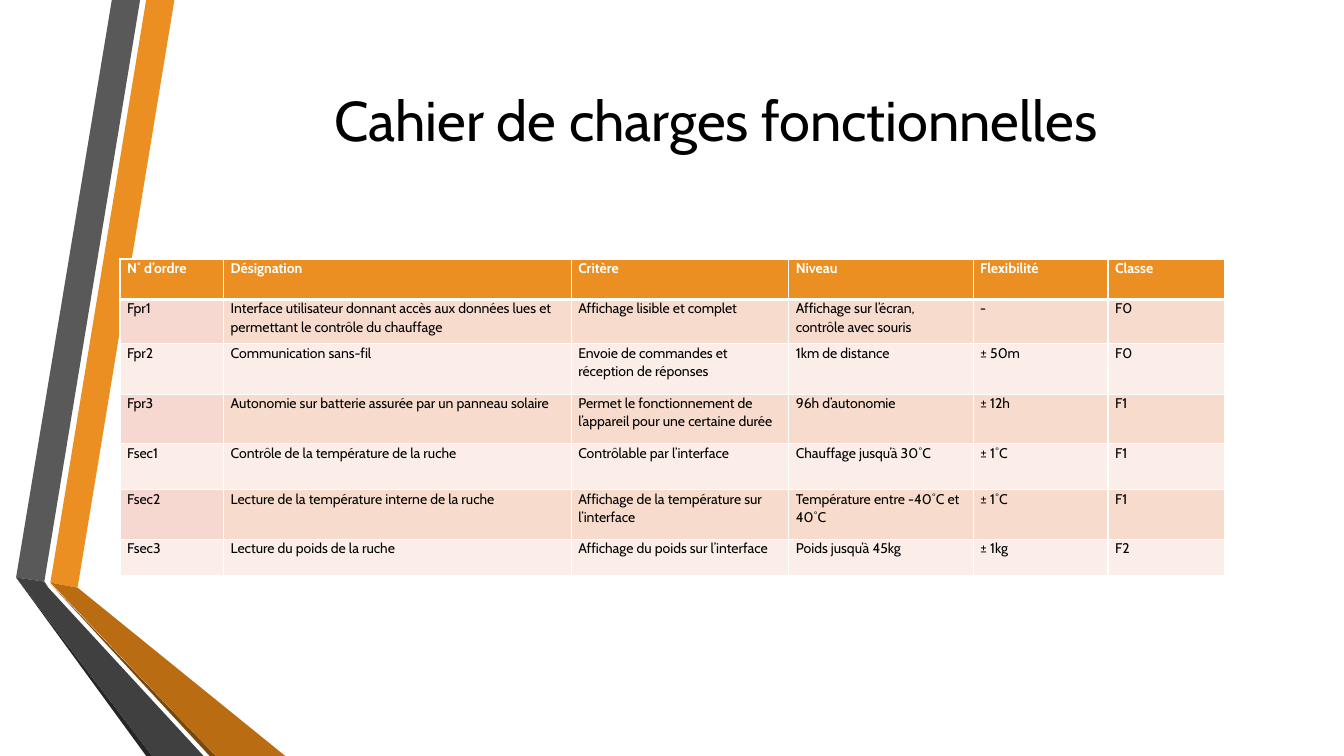
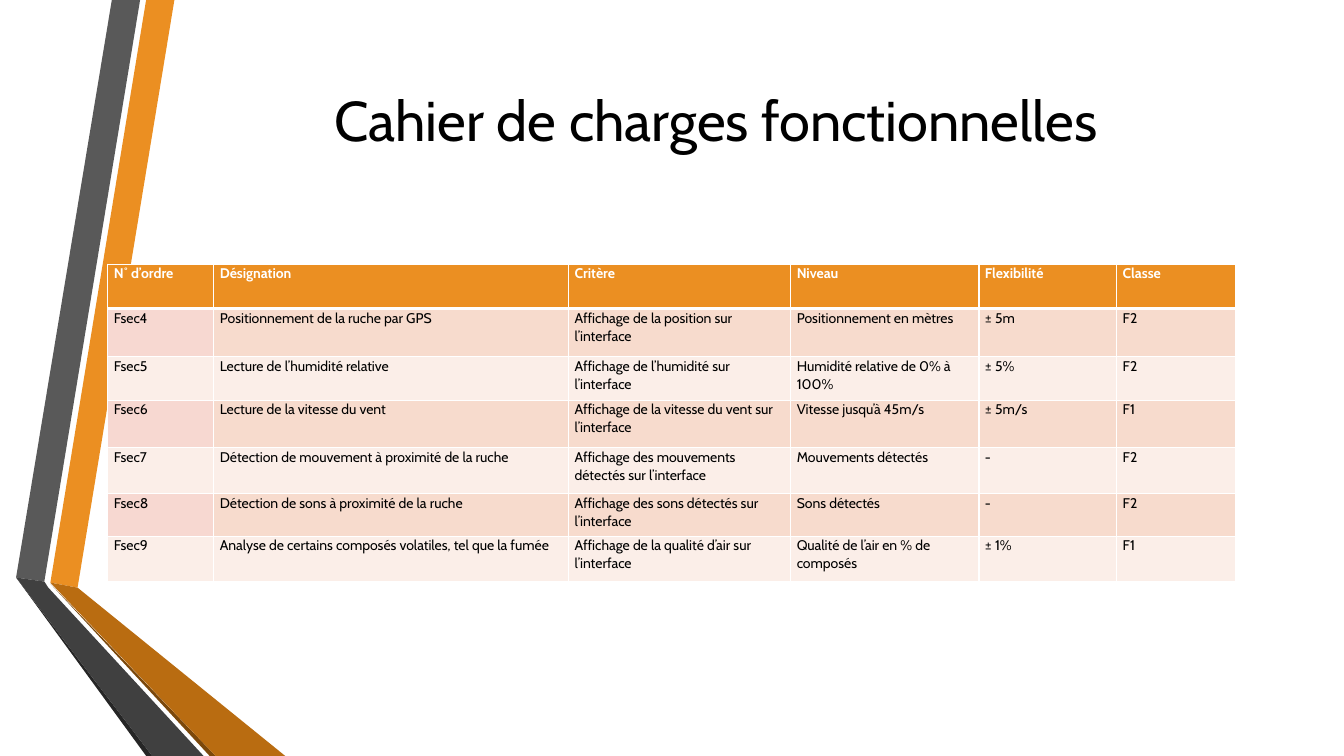
from dataclasses import dataclass

from lxml.etree import SubElement
from pptx import Presentation
from pptx.dml.color import RGBColor
from pptx.enum.text import MSO_ANCHOR, PP_ALIGN
from pptx.oxml.ns import qn
from pptx.util import Inches, Pt


@dataclass(frozen=True)
class Theme:
    font: str = "Cabin"
    title_size: int = 40
    table_size: int = 10
    line_spacing: float = 1.07
    text: str = "000000"
    white: str = "FFFFFF"
    orange: str = "EB8F22"
    orange_dark: str = "B96C11"
    orange_edge: str = "7B480B"
    grey: str = "595959"
    grey_dark: str = "404040"
    grey_edge: str = "262626"
    band_first: str = "F7D8D1"
    band_odd: str = "F7DBCD"
    band_even: str = "FBEEE8"


THEME = Theme()

RIBBONS = [
    (THEME.orange, [(0.5, 5.78), (0.77, 5.83), (1.73, 0), (1.45, 0)]),
    (THEME.grey, [(1.39, 0), (1.11, 0), (0.16, 5.73), (0.44, 5.77)]),
    (THEME.grey_edge, [(0.16, 5.73), (1.45, 7.5), (1.51, 7.5)]),
    (THEME.orange_edge, [(0.5, 5.79), (2.08, 7.5), (2.14, 7.5)]),
    (THEME.orange_dark, [(0.5, 5.78), (2.14, 7.5), (2.83, 7.5), (0.77, 5.83)]),
    (THEME.grey_dark, [(2.02, 7.5), (0.48, 5.83), (0.44, 5.77), (0.16, 5.73), (1.51, 7.5)]),
]

TITLE = "Cahier de charges fonctionnelles"
HEADINGS = ["N˚ d’ordre", "Désignation", "Critère", "Niveau", "Flexibilité", "Classe"]
COLUMN_SHARES = [1.03, 3.45, 2.16, 1.83, 1.34, 1.16]

REQUIREMENTS = [
    {
        "left": 1.19, "top": 2.57, "width": 10.96, "side_margin": 0.07,
        "heights": [0.4, 0.44, 0.5, 0.49, 0.46, 0.49, 0.36],
        "rows": [
            ["Fpr1", "Interface utilisateur donnant accès aux données lues et permettant le contrôle du chauffage",
             "Affichage lisible et complet", "Affichage sur l’écran, contrôle avec souris", "-", "F0"],
            ["Fpr2", "Communication sans-fil", "Envoie de commandes et réception de réponses",
             "1km de distance", "± 50m", "F0"],
            ["Fpr3", "Autonomie sur batterie assurée par un panneau solaire",
             "Permet le fonctionnement de l’appareil pour une certaine durée", "96h d’autonomie", "± 12h", "F1"],
            ["Fsec1", "Contrôle de la température de la ruche", "Contrôlable par l’interface",
             "Chauffage jusqu’à 30˚C", "± 1˚C", "F1"],
            ["Fsec2", "Lecture de la température interne de la ruche",
             "Affichage de la température sur l’interface", "Température entre -40˚C et 40˚C", "± 1˚C", "F1"],
            ["Fsec3", "Lecture du poids de la ruche", "Affichage du poids sur l’interface",
             "Poids jusqu’à 45kg", "± 1kg", "F2"],
        ],
    },
    {
        "left": 1.07, "top": 2.62, "width": 11.19, "side_margin": 0.06,
        "heights": [0.44, 0.48, 0.43, 0.47, 0.46, 0.42, 0.45],
        "rows": [
            ["Fsec4", "Positionnement de la ruche par GPS", "Affichage de la position sur l’interface",
             "Positionnement en mètres", "± 5m", "F2"],
            ["Fsec5", "Lecture de l’humidité relative", "Affichage de l’humidité sur l’interface",
             "Humidité relative de 0% à 100%", "± 5%", "F2"],
            ["Fsec6", "Lecture de la vitesse du vent", "Affichage de la vitesse du vent sur l’interface",
             "Vitesse jusqu’à 45m/s", "± 5m/s", "F1"],
            ["Fsec7", "Détection de mouvement à proximité de la ruche",
             "Affichage des mouvements détectés sur l’interface", "Mouvements détectés", "-", "F2"],
            ["Fsec8", "Détection de sons à proximité de la ruche",
             "Affichage des sons détectés sur l’interface", "Sons détectés", "-", "F2"],
            ["Fsec9", "Analyse de certains composés volatiles, tel que la fumée",
             "Affichage de la qualité d’air sur l’interface", "Qualité de l’air en % de composés", "± 1%", "F1"],
        ],
    },
]


def set_font(paragraph, size, color, bold=False):
    font = paragraph.font
    for attribute, value in {"name": THEME.font, "size": Pt(size), "bold": bold}.items():
        setattr(font, attribute, value)
    font.color.rgb = RGBColor.from_string(color)


def add_borders(cell, widths):
    """Draw white borders; widths maps each side (L, R, T, B, in this order) to points."""
    properties = cell._tc.get_or_add_tcPr()
    for side, width in widths.items():
        line = SubElement(properties, qn(f"a:ln{side}"), w=str(Pt(width)))
        fill = SubElement(line, qn("a:solidFill"))
        SubElement(fill, qn("a:srgbClr"), val=THEME.white)


prs = Presentation()
prs.slide_width, prs.slide_height = Inches(13.33), Inches(7.5)
layout = prs.slide_layouts[5]
slides = [prs.slides.add_slide(layout) for _ in REQUIREMENTS]

# Ribbons are drawn on a slide, then moved to the layout that all slides share
for number, (color, points) in enumerate(RIBBONS):
    start, *others = [(Inches(x), Inches(y)) for x, y in points]
    builder = slides[0].shapes.build_freeform(*start)
    builder.add_line_segments(others, close=True)
    ribbon = builder.convert_to_shape()
    ribbon.shadow.inherit = False
    ribbon.fill.solid()
    ribbon.fill.fore_color.rgb = RGBColor.from_string(color)
    ribbon.line.fill.background()
    ribbon.element.xpath("./p:nvSpPr/p:cNvPr")[0].set("id", str(100 + number))
    layout.shapes.element.append(ribbon.element)

for slide, block in zip(slides, REQUIREMENTS):
    title = slide.shapes.title
    title.left, title.top, title.width, title.height = map(Inches, (1.62, 0.22, 10.96, 1.92))
    title.text_frame.text = TITLE
    title.text_frame.vertical_anchor = MSO_ANCHOR.MIDDLE
    heading = title.text_frame.paragraphs[0]
    heading.alignment = PP_ALIGN.CENTER
    set_font(heading, THEME.title_size, THEME.text)

    rows = [HEADINGS, *block["rows"]]
    table = slide.shapes.add_table(
        len(rows), len(HEADINGS), Inches(block["left"]), Inches(block["top"]),
        Inches(block["width"]), Inches(sum(block["heights"]))).table
    table.horz_banding = False
    for column, share in zip(table.columns, COLUMN_SHARES):
        column.width = Inches(block["width"] * share / sum(COLUMN_SHARES))
    for row, height in zip(table.rows, block["heights"]):
        row.height = Inches(height)

    for r, texts in enumerate(rows):
        is_header = r == 0
        for c, text in enumerate(texts):
            if is_header:
                fill_color = THEME.orange
            elif r % 2 == 0:
                fill_color = THEME.band_even
            else:
                fill_color = THEME.band_first if c == 0 else THEME.band_odd
            cell = table.cell(r, c)
            add_borders(cell, {"L": 1, "R": 1, "T": 3 if r == 1 else 1, "B": 3 if is_header else 1})
            cell.fill.solid()
            cell.fill.fore_color.rgb = RGBColor.from_string(fill_color)
            cell.margin_left = cell.margin_right = Inches(block["side_margin"])
            cell.margin_top = cell.margin_bottom = 0
            cell.text = text
            paragraph = cell.text_frame.paragraphs[0]
            paragraph.line_spacing = THEME.line_spacing
            set_font(paragraph, THEME.table_size, THEME.white if is_header else THEME.text, is_header)

prs.save("out.pptx")
